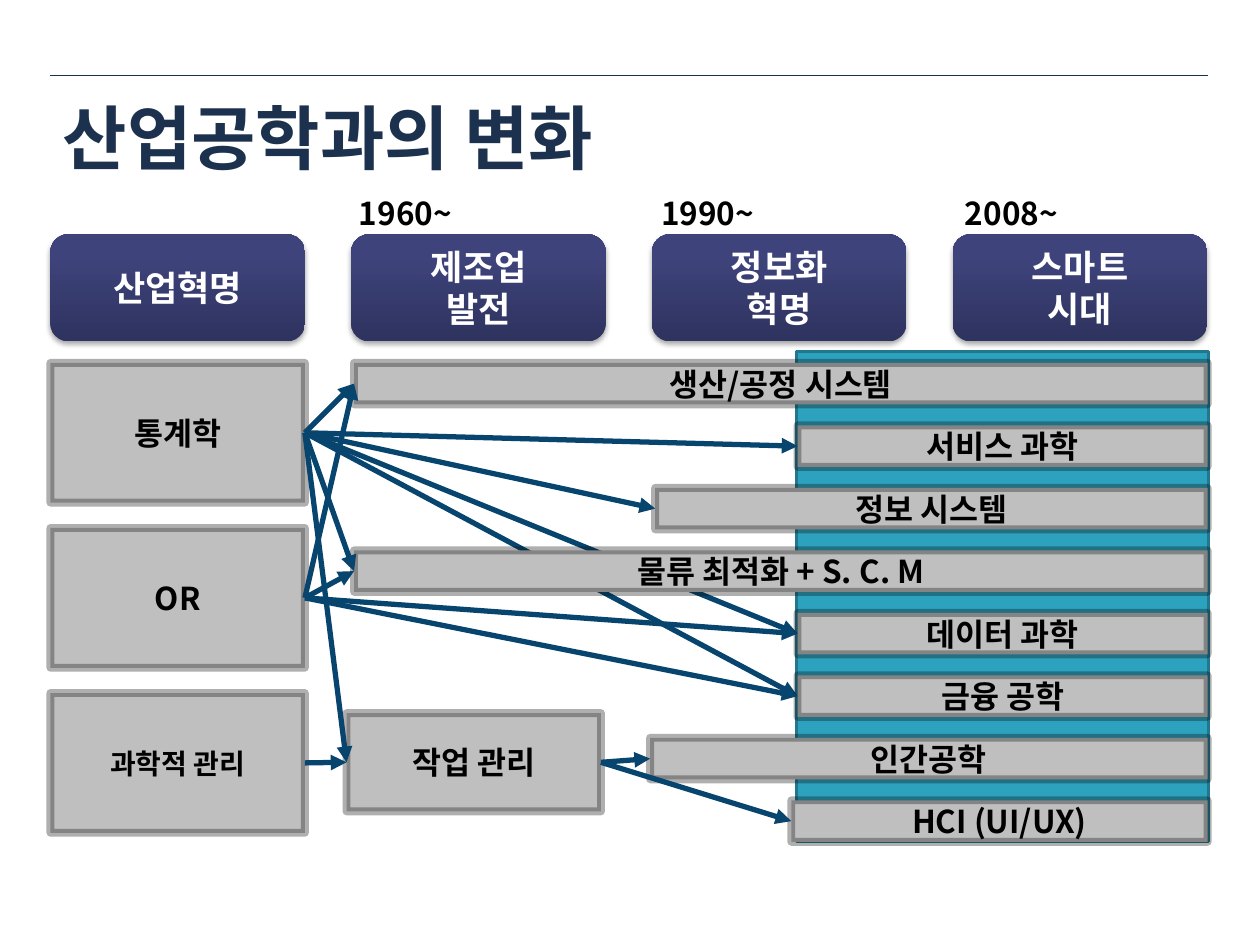
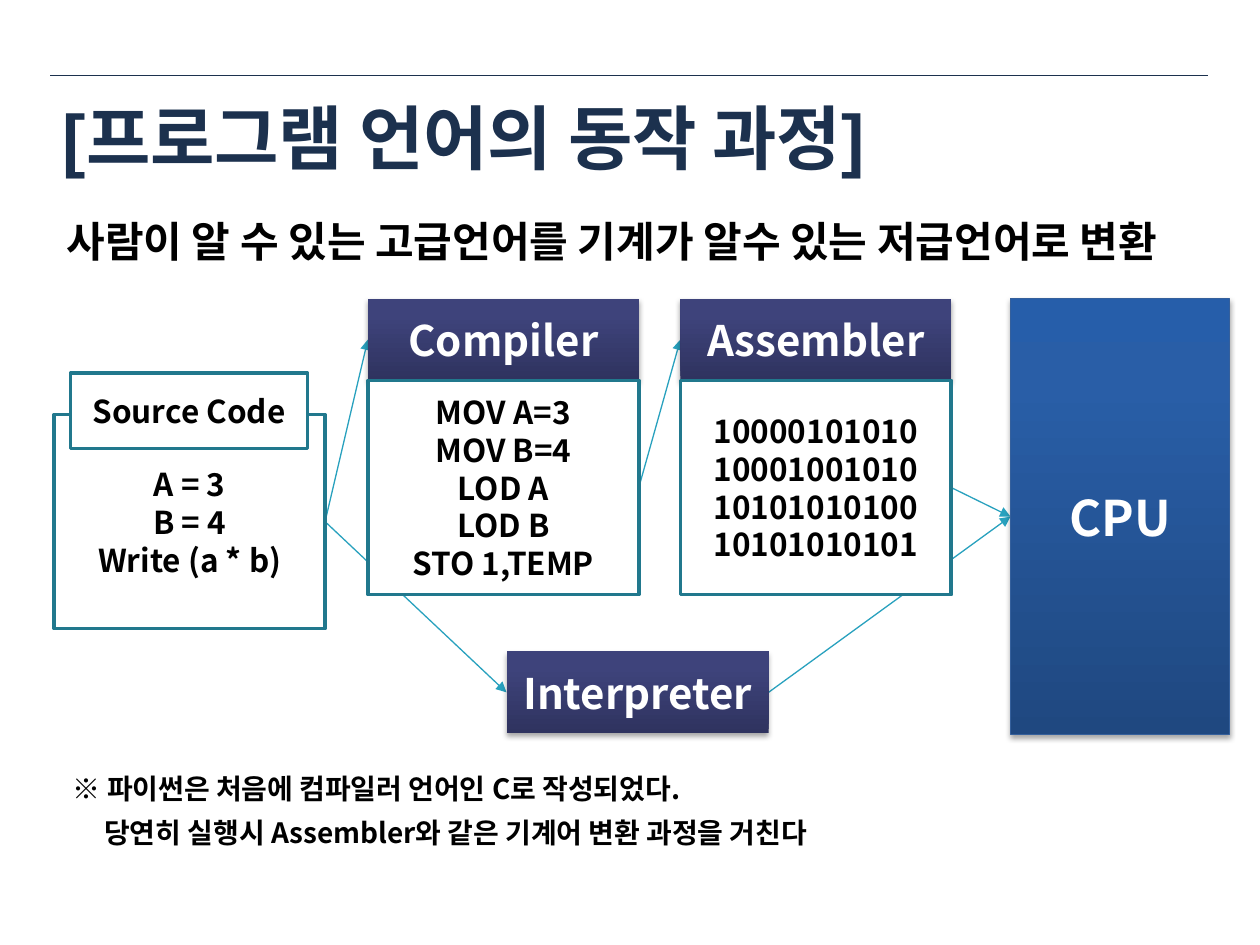
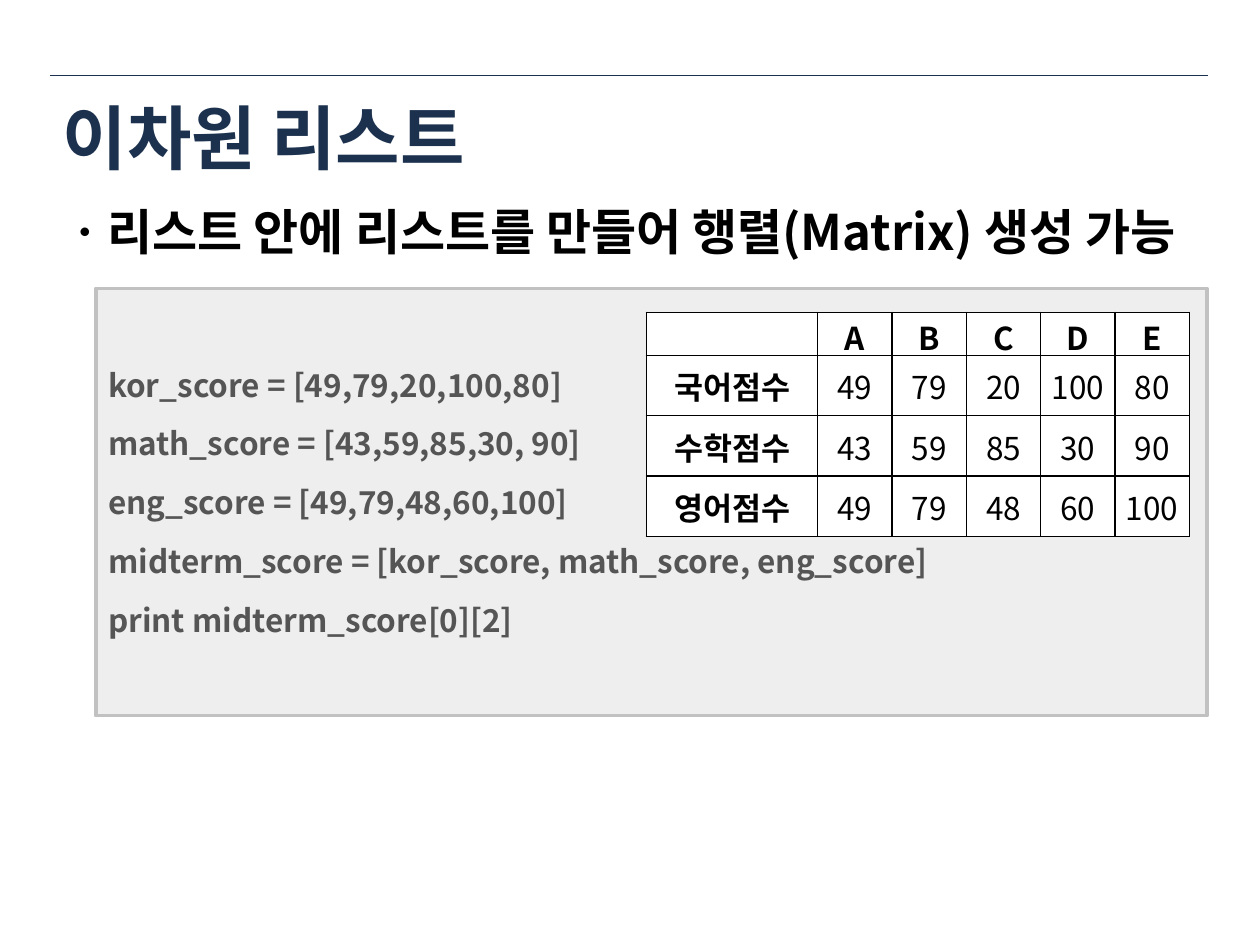
"""Builds three slides on industrial engineering, language translation and nested lists."""
from pptx import Presentation
from pptx.dml.color import RGBColor
from pptx.enum import shapes, text
from pptx.oxml import parse_xml
from pptx.oxml.ns import nsdecls, qn
from pptx.util import Inches, Pt

BODY, TITLE = "Noto Sans CJK KR", "Arial"
NAVY, BLACK, WHITE, TEAL = "1C314E", "000000", "FFFFFF", "21788D"
INDIGO = [(0, "2F335F"), (80, "3E437B"), (100, "3D427D")]
BLUE = [(0, "1F4880"), (80, "295EA7"), (100, "265EAA")]
TOP, LEFT, BOTTOM, RIGHT = range(4)
CENTER, START = text.PP_ALIGN.CENTER, text.PP_ALIGN.LEFT
MIDDLE = text.MSO_ANCHOR.MIDDLE
RECT, ROUND = shapes.MSO_SHAPE.RECTANGLE, shapes.MSO_SHAPE.ROUNDED_RECTANGLE

ERAS = [["산업혁명"], ["제조업", "발전"], ["정보화", "혁명"], ["스마트", "시대"]]
YEARS = [(2.75, "1960~"), (5.15, "1990~"), (7.56, "2008~")]
ROOTS = ["통계학", "OR", "과학적 관리"]
FIELDS = [
    (2.81, "생산/공정 시스템"),
    (6.33, "서비스 과학"),
    (5.2, "정보 시스템"),
    (2.81, "물류 최적화 + S. C. M"),
    (6.33, "데이터 과학"),
    (6.33, "금융 공학"),
    (5.16, "인간공학"),
    (6.28, "HCI (UI/UX)"),
]
WORK = "작업 관리"
LINKS_BEHIND = [("통계학", "금융 공학"), ("통계학", "데이터 과학")]
LINKS = [
    ("통계학", "생산/공정 시스템"), ("통계학", "서비스 과학"), ("통계학", WORK),
    ("통계학", "정보 시스템"), ("통계학", "물류 최적화 + S. C. M"),
    ("과학적 관리", WORK), (WORK, "인간공학"), (WORK, "HCI (UI/UX)"),
    ("OR", "물류 최적화 + S. C. M"), ("OR", "데이터 과학"),
    ("OR", "금융 공학"), ("OR", "생산/공정 시스템"),
]

SUMMARY = "사람이 알 수 있는 고급언어를 기계가 알수 있는 저급언어로 변환"
SOURCE = ["A = 3", "B = 4", "Write (a * b)"]
STAGES = [
    (2.92, "Compiler", ["MOV A=3", "MOV B=4", "LOD A", "LOD B", "STO 1,TEMP"]),
    (5.4, "Assembler", ["10000101010", "10001001010", "10101010100", "10101010101"]),
]
NOTES = ["※ 파이썬은 처음에 컴파일러 언어인 C로 작성되었다.",
         "당연히 실행시 Assembler와 같은 기계어 변환 과정을 거친다"]

MATRIX = "ㆍ리스트 안에 리스트를 만들어 행렬(Matrix) 생성 가능"
CODE = [
    "kor_score = [49,79,20,100,80]",
    "math_score = [43,59,85,30, 90]",
    "eng_score = [49,79,48,60,100]",
    "midterm_score = [kor_score, math_score, eng_score]",
    "print midterm_score[0][2]",
]
SCORES = [
    ["", "A", "B", "C", "D", "E"],
    ["국어점수", 49, 79, 20, 100, 80],
    ["수학점수", 43, 59, 85, 30, 90],
    ["영어점수", 49, 79, 48, 60, 100],
]


def color(value):
    """Turn a hex string into a colour."""
    return RGBColor.from_string(value)


def element(markup):
    """Parse one drawing element."""
    tag, rest = markup[1:].split(" ", 1)
    return parse_xml(f"<{tag} {nsdecls('a')} {rest}")


def write(frame, lines, size, ink=BLACK, align=CENTER, after=0, font=BODY, bold=True):
    """Fill a text frame with one paragraph per line."""
    frame.word_wrap = True
    frame.text = "\n".join(lines)
    for para in frame.paragraphs:
        para.alignment = align
        para.space_after = Pt(after)
        for span in para.runs:
            span.font.name, span.font.size, span.font.bold = font, Pt(size), bold
            span.font.color.rgb = color(ink)
            span.font._element.find(qn("a:latin")).addnext(
                element(f'<a:ea typeface="{BODY}"/>'))


def label(page, place, lines, size, **style):
    """Add a text box."""
    box = page.shapes.add_textbox(*map(Inches, place))
    write(box.text_frame, lines, size, align=START, **style)
    return box


def block(page, place, lines, size=18, fill=WHITE, line=None, width=2, kind=RECT,
          **style):
    """Add a filled shape with centred text."""
    box = page.shapes.add_shape(kind, *map(Inches, place))
    box.fill.solid()
    box.fill.fore_color.rgb = color(fill)
    if line:
        box.line.color.rgb = color(line)
        box.line.width = Pt(width)
    else:
        box.line.fill.background()
    box.shadow.inherit = False
    box.text_frame.vertical_anchor = MIDDLE
    write(box.text_frame, lines, size, **style)
    return box


def raised(page, place, lines, size, stops=INDIGO, **style):
    """Add a block with an upward gradient and a soft shadow."""
    box = block(page, place, lines, size, ink=WHITE, **style)
    marks = "".join(f'<a:gs pos="{pos * 1000}"><a:srgbClr val="{tone}"/></a:gs>'
                    for pos, tone in stops)
    properties = box._element.spPr
    properties.replace(properties.find(qn("a:solidFill")), element(
        f'<a:gradFill rotWithShape="1"><a:gsLst>{marks}</a:gsLst>'
        '<a:lin ang="16200000" scaled="0"/></a:gradFill>'))
    properties.find(qn("a:effectLst")).append(element(
        f'<a:outerShdw blurRad="{Pt(3.1)}" dist="{Pt(1.8)}" dir="5400000" '
        'rotWithShape="0"><a:srgbClr val="000000"><a:alpha val="35000"/>'
        '</a:srgbClr></a:outerShdw>'))
    return box


def gray(page, place, name, size=18):
    """Add a gray block with a translucent border."""
    box = block(page, place, [name], size, fill="BFBFBF", line="0D0D0D", width=4.5)
    box.line._ln.find(".//" + qn("a:srgbClr")).append(element('<a:alpha val="32000"/>'))
    return box


def stroke(page, ends, ink, width):
    """Add a plain straight line."""
    line = page.shapes.add_connector(shapes.MSO_CONNECTOR.STRAIGHT, *map(Inches, ends))
    line.line.color.rgb = color(ink)
    line.line.width = Pt(width)
    line._element.spPr.append(element("<a:effectLst />"))
    return line


def arrow(page, first, second, ink, width):
    """Join the right side of one block to the left side of another."""
    line = stroke(page, (0, 0, 1, 1), ink, width)
    line.begin_connect(first, RIGHT)
    line.end_connect(second, LEFT)
    line.line._ln.append(element('<a:tailEnd type="triangle"/>'))
    return line


def new_page(deck, title):
    """Add a slide with the top rule and its title."""
    page = deck.slides.add_slide(deck.slide_layouts[6])
    stroke(page, (0.4, 0.6, 9.59, 0.6), NAVY, 0.25)
    box = label(page, (0.4, 0.62, 9.18, 0.93), [title], 40, ink=NAVY, font=TITLE)
    box.text_frame.vertical_anchor = MIDDLE
    return page


def history(deck):
    """Draw the fields that grew out of three roots."""
    page = new_page(deck, "산업공학과의 변화")
    panel = block(page, (6.32, 2.79, 3.27, 3.89), [], fill="2DA2BF", line=TEAL)
    for index, era in enumerate(ERAS):
        raised(page, (0.4 + index * 2.387, 1.86, 2.02, 0.85), era, 20, kind=ROUND)
    for left, year in YEARS:
        label(page, (left, 1.49, 1.02, 0.4), [year], 18)
    boxes = {}
    for index, name in enumerate(ROOTS):
        size = 16 if name == ROOTS[-1] else 18
        boxes[name] = gray(page, (0.4, 2.88 + index * 1.31, 2.02, 1.11), name, size)
    boxes[WORK] = gray(page, (2.75, 5.66, 2.02, 0.78), WORK)
    for index, (left, name) in enumerate(FIELDS):
        place = (left, 2.88 + index * 0.496, 9.585 - left, 0.33)
        boxes[name] = gray(page, place, name)
    for first, second in LINKS_BEHIND + LINKS:
        line = arrow(page, boxes[first], boxes[second], "08456E", 3)
        if (first, second) in LINKS_BEHIND:
            panel._element.addnext(line._element)


def translation(deck):
    """Draw the way from source code to the processor."""
    page = new_page(deck, "[프로그램 언어의 동작 과정]")
    summary = label(page, (0.43, 1.66, 9.27, 0.5), [SUMMARY], 24, after=12)
    source = block(page, (0.43, 3.29, 2.15, 1.7), SOURCE, line=TEAL)
    block(page, (0.56, 2.96, 1.88, 0.6), ["Source Code"], line=TEAL)
    heads, outputs = [], []
    for left, name, lines in STAGES:
        heads.append(raised(page, (left, 2.37, 2.15, 0.65), [name], 24))
        outputs.append(block(page, (left, 3.02, 2.15, 1.7), lines, line=TEAL))
    interpreter = raised(page, (4.02, 5.17, 2.08, 0.65), ["Interpreter"], 24)
    cpu = raised(page, (8.02, 2.37, 1.74, 3.46), ["CPU"], 28, stops=BLUE,
                 line="35609C", width=0.75)
    steps = [(source, heads[0]), (source, interpreter), (outputs[0], heads[1]),
             (outputs[1], cpu), (interpreter, cpu)]
    for first, second in steps:
        line = arrow(page, first, second, "28A1BE", 0.75)
        summary._element.addnext(line._element)
    notes = label(page, (0.48, 6.07, 9.52, 0.72), NOTES, 16, after=6)
    notes.text_frame.paragraphs[1]._p.get_or_add_pPr().set("marL", str(Inches(0.25)))


def score_table(page):
    """Add the table of scores with thin black borders."""
    widths, heights = [1.36] + [0.59] * 5, [0.34] + [0.48] * 3
    place = (5.13, 2.48, sum(widths), sum(heights))
    table = page.shapes.add_table(len(SCORES), len(widths), *map(Inches, place)).table
    table.first_row = table.horz_banding = False
    for column, width in zip(table.columns, widths):
        column.width = Inches(width)
    for row, height, values in zip(table.rows, heights, SCORES):
        row.height = Inches(height)
        for cell, value in zip(row.cells, values):
            cell.margin_left = cell.margin_right = cell.margin_top = Inches(0.01)
            cell.margin_bottom = 0
            cell.vertical_anchor = MIDDLE
            write(cell.text_frame, [str(value)], 18, bold=isinstance(value, str))
            for side in "LRTB":
                cell._tc.get_or_add_tcPr().append(element(
                    f'<a:ln{side} w="{Pt(1)}"><a:solidFill><a:srgbClr val="{BLACK}"/>'
                    f'</a:solidFill></a:ln{side}>'))
            cell.fill.solid()
            cell.fill.fore_color.rgb = color(WHITE)


def nested_lists(deck):
    """Show a matrix made of lists."""
    page = new_page(deck, "이차원 리스트")
    label(page, (0.4, 1.55, 9.6, 0.57), [MATRIX], 28, after=5)
    block(page, (0.76, 2.29, 8.82, 3.39), CODE, fill="EEEEEE", line="C1C1C1",
          ink="555555", align=START, after=12)
    score_table(page)


def main():
    """Build and save the deck."""
    deck = Presentation()
    deck.slide_width, deck.slide_height = Inches(10), Inches(7.5)
    history(deck)
    translation(deck)
    nested_lists(deck)
    deck.save("out.pptx")


if __name__ == "__main__":
    main()
